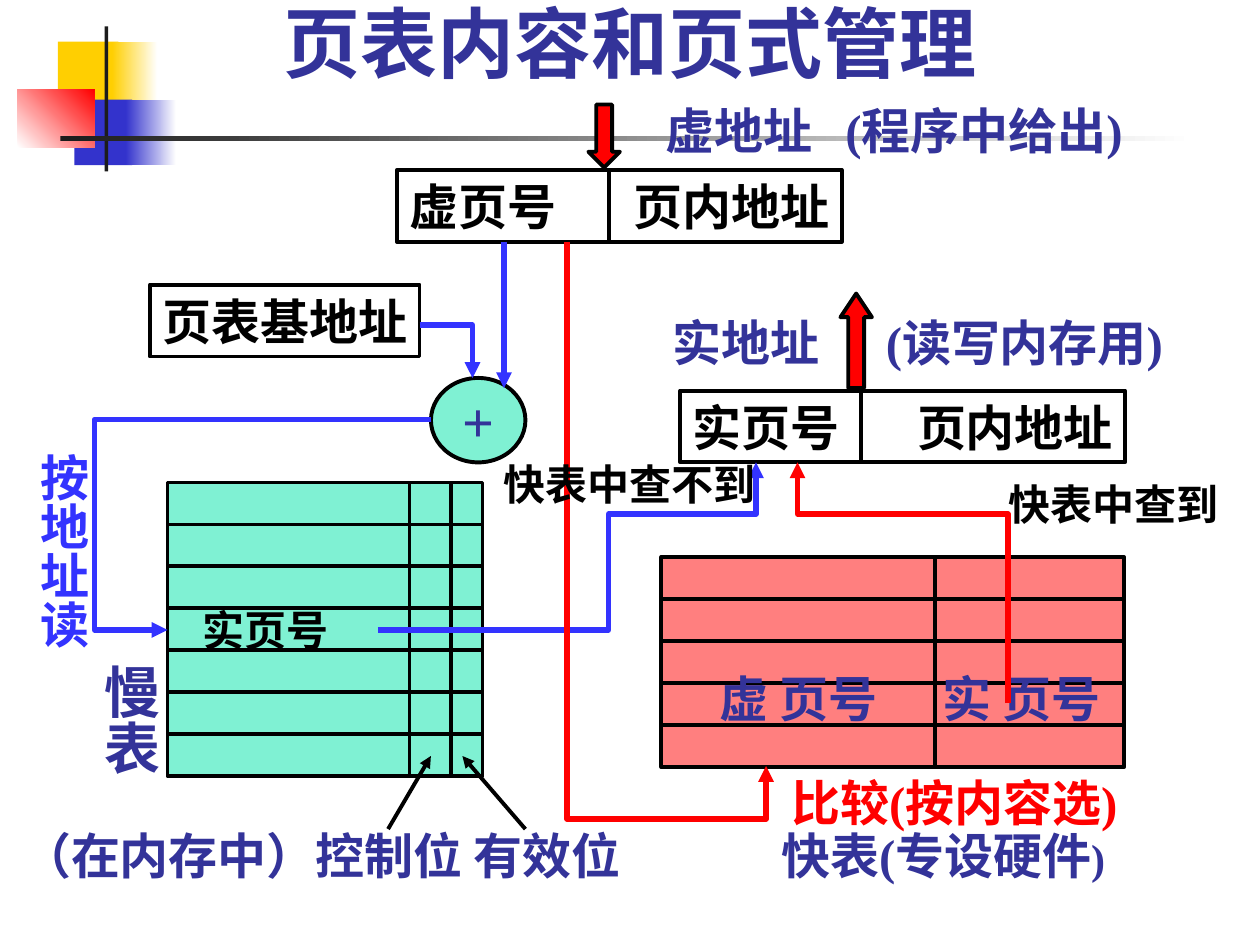
from dataclasses import dataclass

from lxml import etree
from pptx import Presentation
from pptx.dml.color import RGBColor
from pptx.enum import shapes as kinds, text as tx
from pptx.oxml import ns
from pptx.util import Inches, Pt


@dataclass(frozen=True)
class Theme:
    navy: str = "333399"
    blue: str = "3333FF"
    red: str = "FF0000"
    black: str = "000000"
    white: str = "FFFFFF"
    mint: str = "00E4A8"
    yellow: str = "FFCF01"
    indigo: str = "3333CC"
    charcoal: str = "1C1C1C"
    serif: str = "Times New Roman"
    sans: str = "Cabin"
    title: int = 44
    large: int = 32
    body: int = 28
    small: int = 24
    outline: float = 2.25
    route: float = 3


THEME = Theme()
SHAPE = kinds.MSO_SHAPE
LEFT, CENTER = tx.PP_ALIGN.LEFT, tx.PP_ALIGN.CENTER
TOP, MIDDLE, BOTTOM = (tx.MSO_ANCHOR.TOP, tx.MSO_ANCHOR.MIDDLE,
                       tx.MSO_ANCHOR.BOTTOM)


def rgb(color):
    return RGBColor.from_string(color)


def set_attributes(target, values):
    for name, value in values.items():
        setattr(target, name, value)


def add_child(parent, tag, **attributes):
    return etree.SubElement(parent, ns.qn(tag), attributes)


def stroke(line, color, width, arrow=False):
    line.color.rgb = rgb(color)
    line.width = Pt(width)
    if arrow:
        add_child(line._get_or_add_ln(), "a:tailEnd", type="triangle")


def block(slide, box, kind=SHAPE.RECTANGLE, fill=None, opacity=100,
          outlined=True):
    """Add a preset shape; no fill colour leaves it hollow."""
    shape = slide.shapes.add_shape(kind, *map(Inches, box))
    shape.shadow.inherit = False
    if fill:
        shape.fill.solid()
        shape.fill.fore_color.rgb = rgb(fill)
        if opacity < 100:
            tint = shape.fill._xPr.find(".//" + ns.qn("a:srgbClr"))
            add_child(tint, "a:alpha", val=str(opacity * 1000))
    else:
        shape.fill.background()
    if outlined:
        stroke(shape.line, THEME.black, THEME.outline)
    else:
        shape.line.fill.background()
    return shape


def fade(slide, box, start, end, angle=0):
    shape = block(slide, box, outlined=False)
    shape.fill.gradient()
    shape.fill.gradient_angle = angle
    for stop, color in zip(shape.fill.gradient_stops, (start, end)):
        stop.color.rgb = rgb(color)


def straight(slide, start, end, color=THEME.black, width=THEME.outline,
             arrow=False):
    line = slide.shapes.add_connector(
        kinds.MSO_CONNECTOR.STRAIGHT, *map(Inches, (*start, *end)))
    stroke(line.line, color, width, arrow)
    add_child(line._element.spPr, "a:effectLst")


def route(slide, color, *points):
    """Add a bent arrow through the given points."""
    start, *rest = [tuple(map(Inches, point)) for point in points]
    builder = slide.shapes.build_freeform(*start)
    builder.add_line_segments(rest, close=False)
    arrow = builder.convert_to_shape()
    arrow.shadow.inherit = False
    arrow.fill.background()
    stroke(arrow.line, color, THEME.route, arrow=True)


def write(shape, *runs, color=THEME.navy, size=THEME.body, font=THEME.serif,
          align=CENTER, anchor=MIDDLE, wrap=False, vertical=False):
    """Write runs; a run is a string or a (string, size) pair."""
    frame = shape.text_frame
    along, across = Inches(0.1), Inches(0.05)
    sides, ends = (across, along) if vertical else (along, across)
    set_attributes(frame, dict(
        margin_left=sides, margin_right=sides, margin_top=ends,
        margin_bottom=ends, vertical_anchor=anchor, word_wrap=wrap))
    if vertical:
        frame._txBody.bodyPr.set("vert", "eaVert")
    paragraph = frame.paragraphs[0]
    paragraph.alignment = align
    for content in runs:
        words, points = content if isinstance(content, tuple) else (content, size)
        run = paragraph.add_run()
        run.text = words
        set_attributes(run.font, dict(name=font, size=Pt(points), bold=True))
        run.font.color.rgb = rgb(color)


def label(slide, box, *runs, **style):
    shape = slide.shapes.add_textbox(*map(Inches, box))
    write(shape, *runs, **style)
    return shape


def write_pair(shape, first, second, start, stop, **style):
    """Write two words that begin at the x positions start and stop."""
    write(shape, f"{first}\t{second}", align=LEFT, wrap=True, **style)
    frame = shape.text_frame
    frame.margin_left = Inches(start) - shape.left
    frame.margin_right = 0
    properties = frame.paragraphs[0]._p.get_or_add_pPr()
    tabs = add_child(properties, "a:tabLst")
    add_child(tabs, "a:tab", pos=str(Inches(stop - start)), algn="l")


def grid(slide, box, rows, dividers, fill):
    left, top, width, height = box
    block(slide, box, fill=fill, opacity=50)
    for x in dividers:
        straight(slide, (x, top), (x, top + height))
    for row in range(1, rows):
        y = top + height * row / rows
        straight(slide, (left, y), (left + width, y))


def address(slide, left, top, page, divider):
    field = block(slide, (left, top, 3.53, 0.57))
    write_pair(field, page, "页内地址", left + 0.1, left + 1.88,
               color=THEME.black)
    straight(slide, (divider, top), (divider, top + 0.57))


def decoration(slide):
    for left, top, solid, faded, color in (
            (0.46, 0.33, 0.48, 0.36, THEME.yellow),
            (0.59, 0.79, 0.46, 0.4, THEME.indigo)):
        block(slide, (left, top, solid, 0.52), fill=color, outlined=False)
        fade(slide, (left + solid - 0.05, top, faded, 0.52), color, THEME.white)
    fade(slide, (0.14, 0.71, 0.61, 0.46), THEME.white, THEME.red, angle=45)
    block(slide, (0.83, 0.21, 0.03, 1.15), fill=THEME.charcoal, outlined=False)
    fade(slide, (0.48, 1.08, 9, 0.04), THEME.charcoal, THEME.white)


def tables(slide):
    grid(slide, (1.33, 3.83, 2.5, 2.33), 7, (3.25, 3.58), THEME.mint)
    grid(slide, (5.25, 4.42, 3.67, 1.67), 5, (7.42,), THEME.red)
    adder = block(slide, (3.42, 3, 0.75, 0.67), SHAPE.OVAL, THEME.mint, 50)
    write(adder, "+", size=THEME.large)


def labels(slide):
    label(slide, (0, 6.5, 5.1, 0.57), "（在内存中）控制位 有效位", wrap=True)
    for box, first, second, start, stop in (
            ((5.5, 5.02, 3.42, 1.04), "虚 页号", "实 页号", 5.71, 7.48),
            ((5.07, 0.75, 4.23, 0.57), "虚地址", "(程序中给出)", 5.28, 6.71),
            ((4.97, 2.43, 4.81, 0.57), "实地址", "(读写内存用)", 5.34, 7.03)):
        pair = slide.shapes.add_textbox(*map(Inches, box))
        write_pair(pair, first, second, start, stop)
    label(slide, (0.67, 5.17, 0.73, 0.99), "慢表", size=THEME.large,
          vertical=True)
    label(slide, (0.17, 3.5, 0.66, 1.66), "按地址读", color=THEME.blue,
          vertical=True)
    label(slide, (5.96, 6.5, 3.05, 0.57), "快表(专设硬件", (")", THEME.small))
    label(slide, (6.04, 6.08, 3.07, 0.57), "比较(按内容选)", color=THEME.red)
    label(slide, (1.51, 4.75, 1.2, 0.5), "实页号", color=THEME.black,
          size=THEME.small)


def addresses(slide):
    up = block(slide, (6.67, 2.33, 0.25, 0.75), SHAPE.UP_ARROW, THEME.red)
    up.adjustments[1] = 0.75
    block(slide, (4.67, 0.83, 0.25, 0.5), SHAPE.DOWN_ARROW, THEME.red)
    address(slide, 3.15, 1.35, "虚页号", 4.83)
    address(slide, 5.4, 3.1, "实页号", 6.83)
    base = block(slide, (1.19, 2.26, 2.14, 0.57))
    write(base, "页表基地址", color=THEME.black)


def routes(slide):
    straight(slide, (3.08, 6.58), (3.42, 6), arrow=True)
    straight(slide, (4.17, 6.58), (3.67, 6), arrow=True)
    route(slide, THEME.blue, (3.33, 2.58), (3.75, 2.58), (3.75, 3))
    route(slide, THEME.blue, (3.42, 3.33), (0.75, 3.33), (0.75, 5), (1.33, 5))
    route(slide, THEME.blue, (3, 5), (4.83, 5), (4.83, 4.08), (6, 4.08),
          (6, 3.67))
    straight(slide, (4, 1.92), (4, 3.08), THEME.blue, THEME.route, arrow=True)
    route(slide, THEME.red, (4.5, 1.92), (4.5, 6.5), (6.08, 6.5), (6.08, 6.08))
    route(slide, THEME.red, (8, 5.58), (8, 4.08), (6.33, 4.08), (6.33, 3.67))
    for box, outcome in (((7.91, 3.75, 1.93, 0.5), "快表中查到"),
                         ((3.9, 3.59, 2.44, 0.5), "快表中查不到")):
        label(slide, box, outcome, color=THEME.black, size=THEME.small,
              font=THEME.sans, align=LEFT, anchor=TOP, wrap=True)


def main():
    deck = Presentation()
    deck.slide_width, deck.slide_height = Inches(10), Inches(7.5)
    slide = deck.slides.add_slide(deck.slide_layouts[6])
    decoration(slide)
    label(slide, (0.75, 0, 8.5, 0.75), "页表内容和页式管理", size=THEME.title,
          font=THEME.sans, anchor=BOTTOM, wrap=True)
    for part in (tables, labels, addresses, routes):
        part(slide)
    deck.save("out.pptx")


if __name__ == "__main__":
    main()
